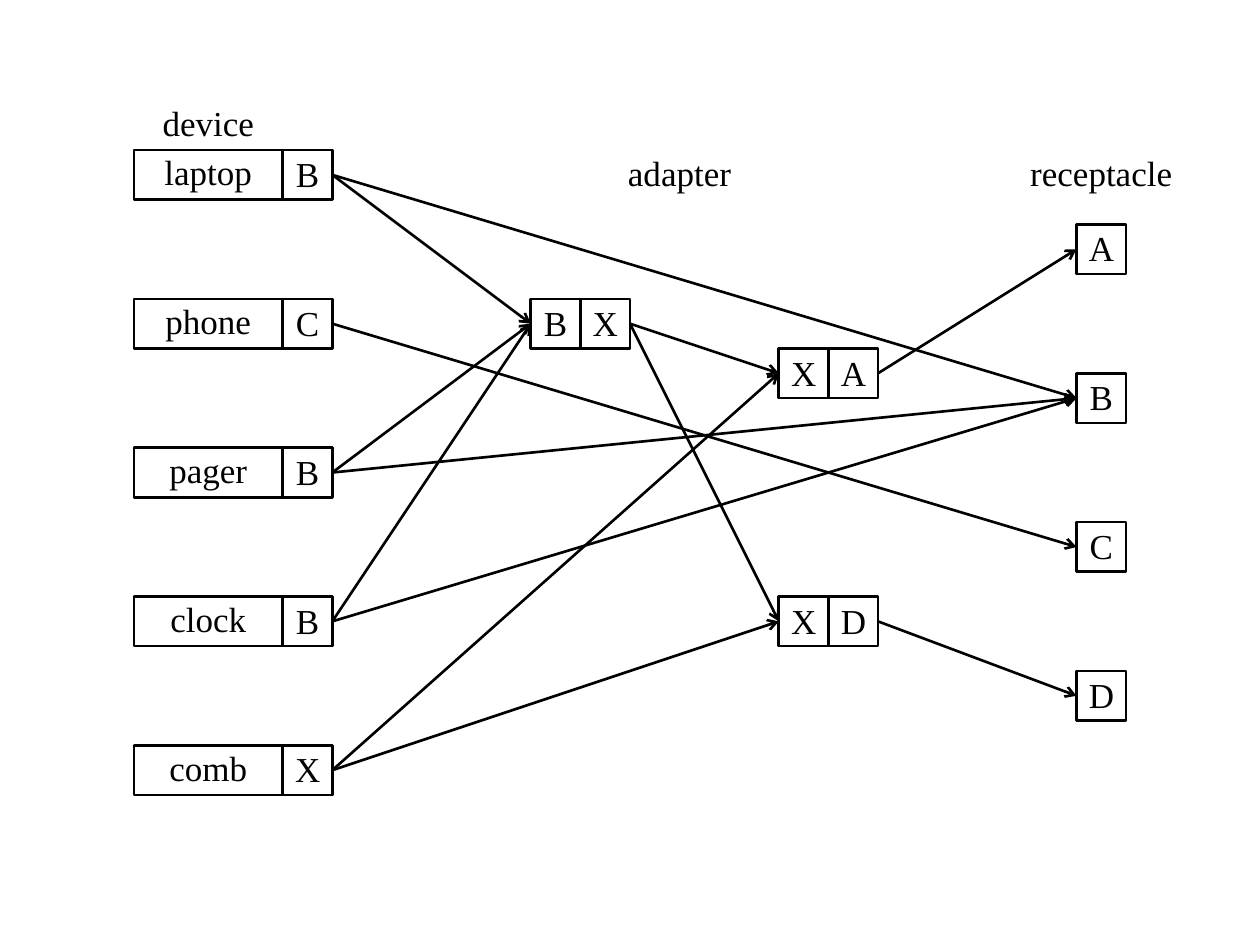
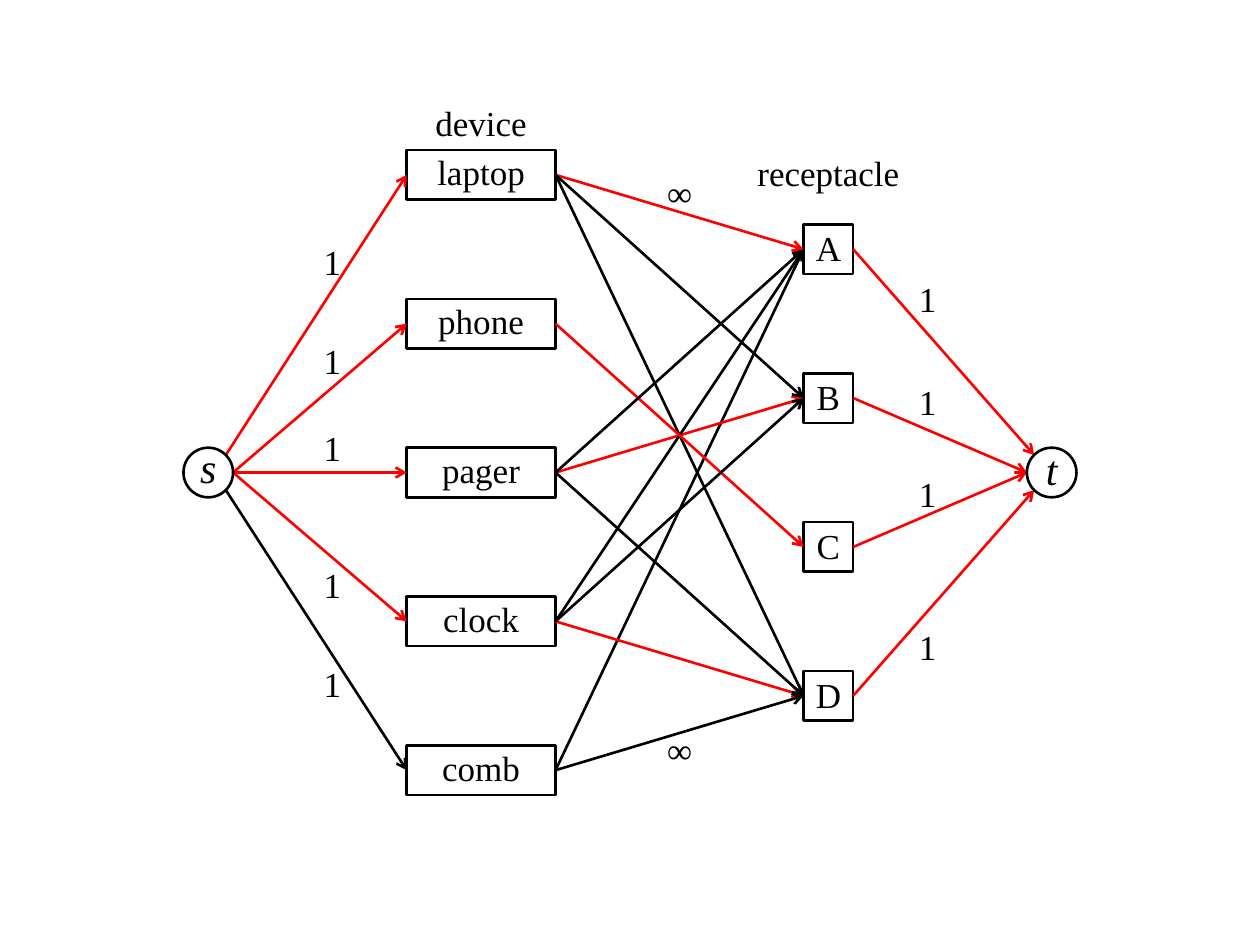
from math import sqrt

from pptx import Presentation
from pptx.dml.color import RGBColor
from pptx.enum.shapes import MSO_CONNECTOR as Line, MSO_SHAPE as Kind
from pptx.enum.text import MSO_ANCHOR as Anchor, PP_ALIGN as Align
from pptx.oxml.ns import qn
from pptx.util import Pt
from lxml.etree import SubElement

FONT = "Times New Roman"
BLACK, WHITE, RED = "000000", "FFFFFF", "FF0000"

# Places are in grid units; row 0 is the top of the first device.
UNIT, LEFT, TOP = 28.35, 76.5, 85.75
STEP, WIDE = 3, 3

DEVICES = {"laptop": "B", "phone": "C", "pager": "B", "clock": "B", "comb": "X"}
OUTLETS = "ABCD"
ADAPTERS = {"BX": (8, 3), "XA": (13, 4), "XD": (13, 9)}

PLUGS = [
    ("laptop", "BX"), ("comb", "XA"), ("pager", "B"), ("XD", "D"),
    ("clock", "BX"), ("comb", "XD"), ("phone", "C"), ("XA", "A"),
    ("clock", "B"), ("BX", "XD"), ("BX", "XA"), ("pager", "BX"),
    ("laptop", "B"),
]

PAIRS = [
    ("laptop", "D"), ("comb", "A"), ("pager", "B"), ("clock", "D"),
    ("clock", "A"), ("comb", "D"), ("phone", "C"), ("pager", "A"),
    ("clock", "B"), ("laptop", "A"), ("pager", "D"), ("laptop", "B"),
]
MATCH = {"laptop": "A", "phone": "C", "pager": "B", "clock": "D"}

# Text, column, row, height, anchor, top inset
COSTS = [
    ("1", 3.5, 1.5, 1.5, Anchor.MIDDLE, 0),
    ("1", 3.5, 3.5, 1.5, Anchor.MIDDLE, 0),
    ("1", 3.5, 5.5, 1, Anchor.MIDDLE, 0),
    ("1", 3.5, 8, 1.5, Anchor.MIDDLE, 0),
    ("1", 3.5, 10, 1.5, Anchor.MIDDLE, 0),
    ("1", 15.5, 2.5, 1, Anchor.MIDDLE, 0),
    ("1", 15.5, 4.5, 1, Anchor.BOTTOM, 0),
    ("1", 15.5, 6.5, 1, Anchor.TOP, 0),
    ("1", 15.5, 9.5, 1, Anchor.MIDDLE, 0),
    ("∞", 10.5, 11.5, 1, Anchor.BOTTOM, 0),
    ("∞", 10.5, 0, 1.5, Anchor.MIDDLE, 5.76),
]


def color(code):
    return RGBColor.from_string(code)


def spot(col, row):
    return Pt(LEFT + col * UNIT), Pt(TOP + row * UNIT)


def write(shape, text, size=20, italic=False, anchor=Anchor.MIDDLE,
          pad=(0, 0, 0, 0), wrap=False):
    """Put text in a shape; pad is left, top, right, bottom."""
    frame = shape.text_frame
    frame.word_wrap = wrap
    frame.vertical_anchor = anchor
    (frame.margin_left, frame.margin_top,
     frame.margin_right, frame.margin_bottom) = map(Pt, pad)
    par = frame.paragraphs[0]
    par.alignment = Align.CENTER
    run = par.add_run()
    run.text = text
    font = run.font
    font.name, font.size, font.italic = FONT, Pt(size), italic
    font.color.rgb = color(BLACK)


def label(slide, text, col, row, width=WIDE, height=1, **form):
    box = slide.shapes.add_textbox(*spot(col, row), Pt(width * UNIT),
                                   Pt(height * UNIT))
    write(box, text, **form)


def head(slide, text, col, row):
    label(slide, text, col, row, pad=(0, 0, 0, 2.88))


def node(slide, text, col, row, width=1, kind=Kind.RECTANGLE, **form):
    shape = slide.shapes.add_shape(kind, *spot(col, row),
                                   Pt(width * UNIT), Pt(UNIT))
    shape.shadow.inherit = False
    shape.fill.solid()
    shape.fill.fore_color.rgb = color(WHITE)
    shape.line.color.rgb = color(BLACK)
    shape.line.width = Pt(1.5)
    write(shape, text, **form)


def cell(slide, text, col, row, width=1):
    low = 3.6 if width == WIDE else 1.44
    node(slide, text, col, row, width, pad=(7.2, 0, 7.2, low), wrap=True)


def arrow(slide, start, end, tint=BLACK):
    link = slide.shapes.add_connector(Line.STRAIGHT, *spot(*start), *spot(*end))
    link.line.color.rgb = color(tint)
    link.line.width = Pt(1.5)
    SubElement(link.line._get_or_add_ln(), qn("a:tailEnd"), type="arrow")
    SubElement(link._element.spPr, qn("a:effectLst"))


def rows(names, first=0):
    return {name: first + i * STEP for i, name in enumerate(names)}


DEV_ROWS, OUT_ROWS = rows(DEVICES), rows(OUTLETS, 1.5)


def columns(slide, dev, out):
    """Draw the devices and the receptacles with their headings."""
    for name, row in DEV_ROWS.items():
        cell(slide, name, dev, row, WIDE)
    head(slide, "receptacle", out - 1, 0)
    head(slide, "device", dev, -1)
    for name, row in OUT_ROWS.items():
        cell(slide, name, out, row)


def plugs(slide):
    dev, out = 0, 19
    columns(slide, dev, out)
    head(slide, "adapter", 9.5, 0)
    starts, ends = {}, {}
    for name, plug in DEVICES.items():
        row = DEV_ROWS[name]
        cell(slide, plug, dev + WIDE, row)
        starts[name] = dev + WIDE + 1, row + 0.5
    for name, (col, row) in ADAPTERS.items():
        for i, side in enumerate(name):
            cell(slide, side, col + i, row)
        starts[name] = col + 2, row + 0.5
        ends[name] = col, row + 0.5
    for name, row in OUT_ROWS.items():
        ends[name] = out, row + 0.5
    for a, b in PLUGS:
        arrow(slide, starts[a], ends[b])


def rim(col, names, name, side):
    """Where an arrow meets a circle: the outer names go to its diagonals."""
    names = list(names)
    turn = (name == names[-1]) - (name == names[0])
    bend = sqrt(0.5) / 2
    reach = bend if turn else 0.5
    return col + 0.5 + side * reach, DEV_ROWS["pager"] + 0.5 + turn * bend


def flow(slide):
    dev, out, source, sink = 5.5, 13.5, 1, 18
    columns(slide, dev, out)
    for a, b in PAIRS:
        arrow(slide, (dev + WIDE, DEV_ROWS[a] + 0.5), (out, OUT_ROWS[b] + 0.5),
              RED if MATCH.get(a) == b else BLACK)
    for name, row in DEV_ROWS.items():
        arrow(slide, rim(source, DEVICES, name, 1), (dev, row + 0.5),
              RED if name in MATCH else BLACK)
    for name, row in OUT_ROWS.items():
        arrow(slide, (out + 1, row + 0.5), rim(sink, OUTLETS, name, -1),
              RED if name in MATCH.values() else BLACK)
    for text, col, row, height, anchor, inset in COSTS:
        label(slide, text, col, row, 1, height, anchor=anchor,
              pad=(0, inset, 0, 0))
    for text, col, low in (("s", source, 7.2), ("t", sink, 4.32)):
        node(slide, text, col, DEV_ROWS["pager"], kind=Kind.OVAL, size=24,
             italic=True, pad=(0, 0, 0, low), wrap=True)


def main():
    deck = Presentation()
    deck.slide_width, deck.slide_height = Pt(720), Pt(540)
    for draw in (plugs, flow):
        draw(deck.slides.add_slide(deck.slide_layouts[6]))
    deck.save("out.pptx")


if __name__ == "__main__":
    main()
